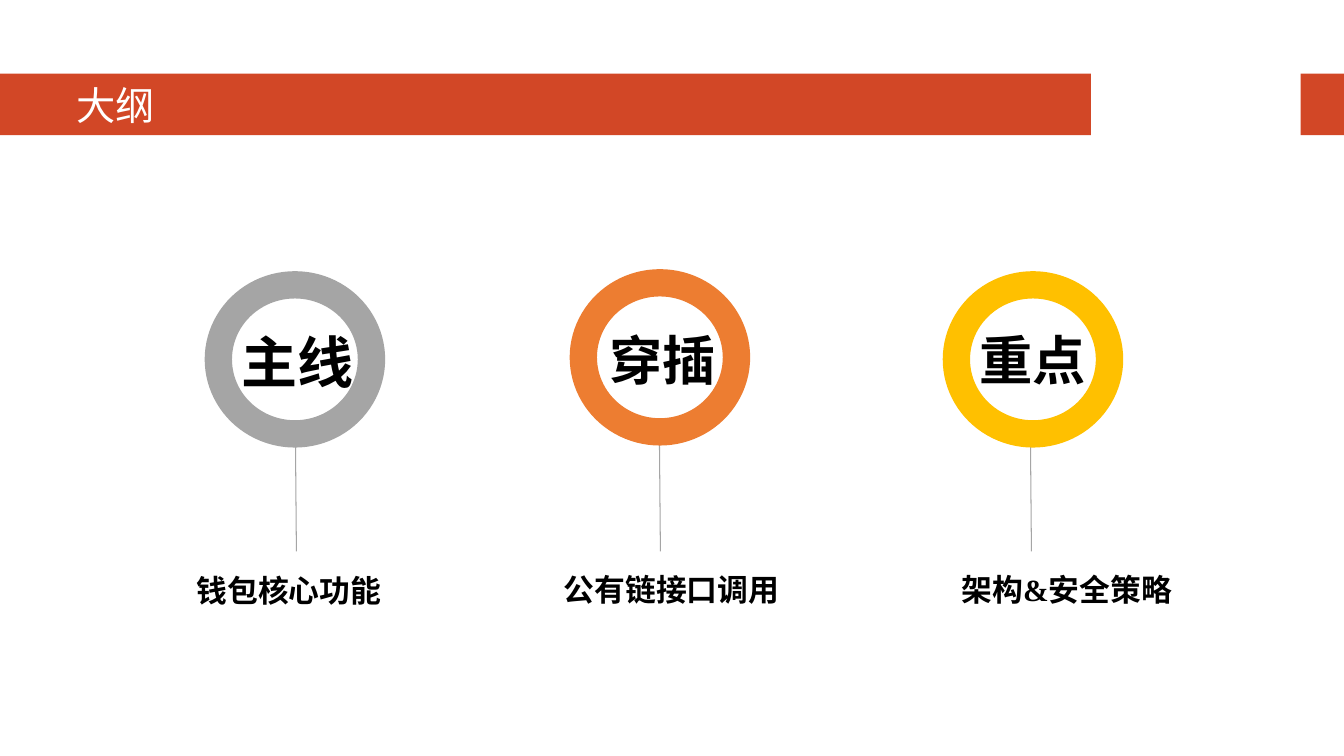
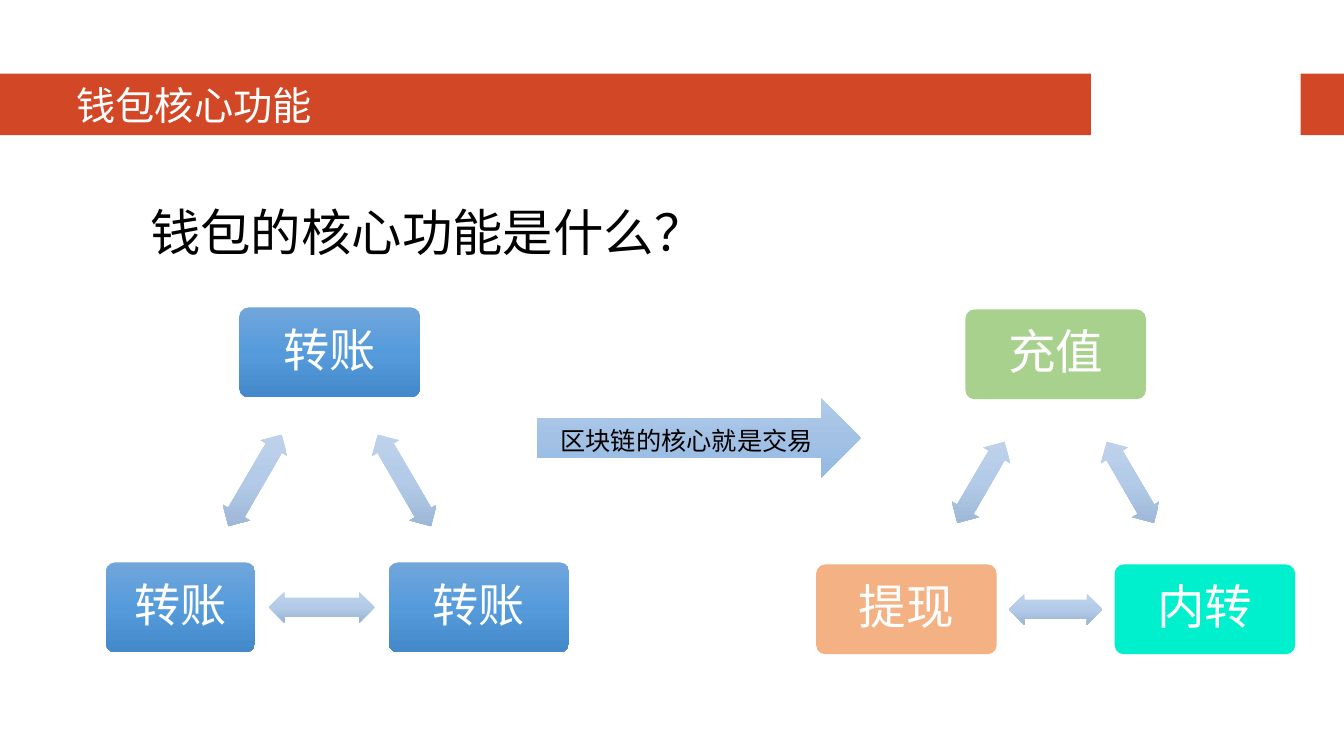
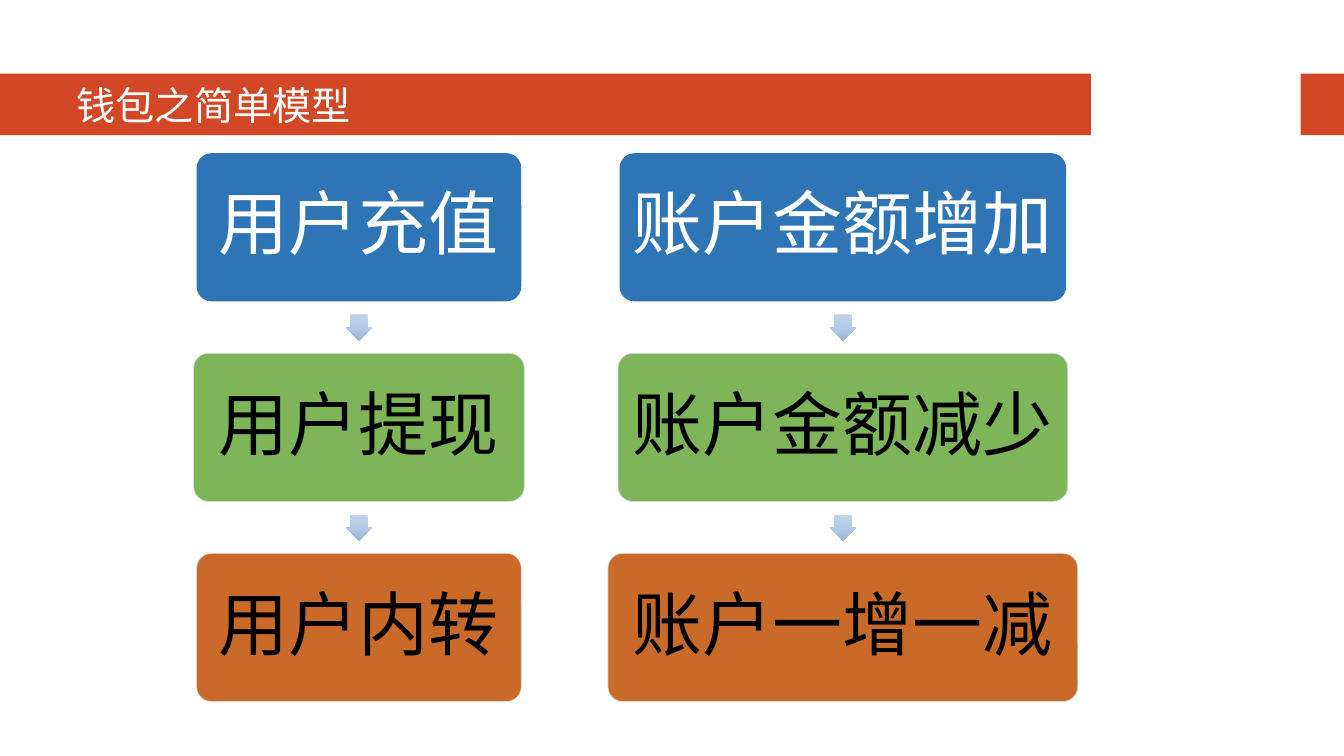
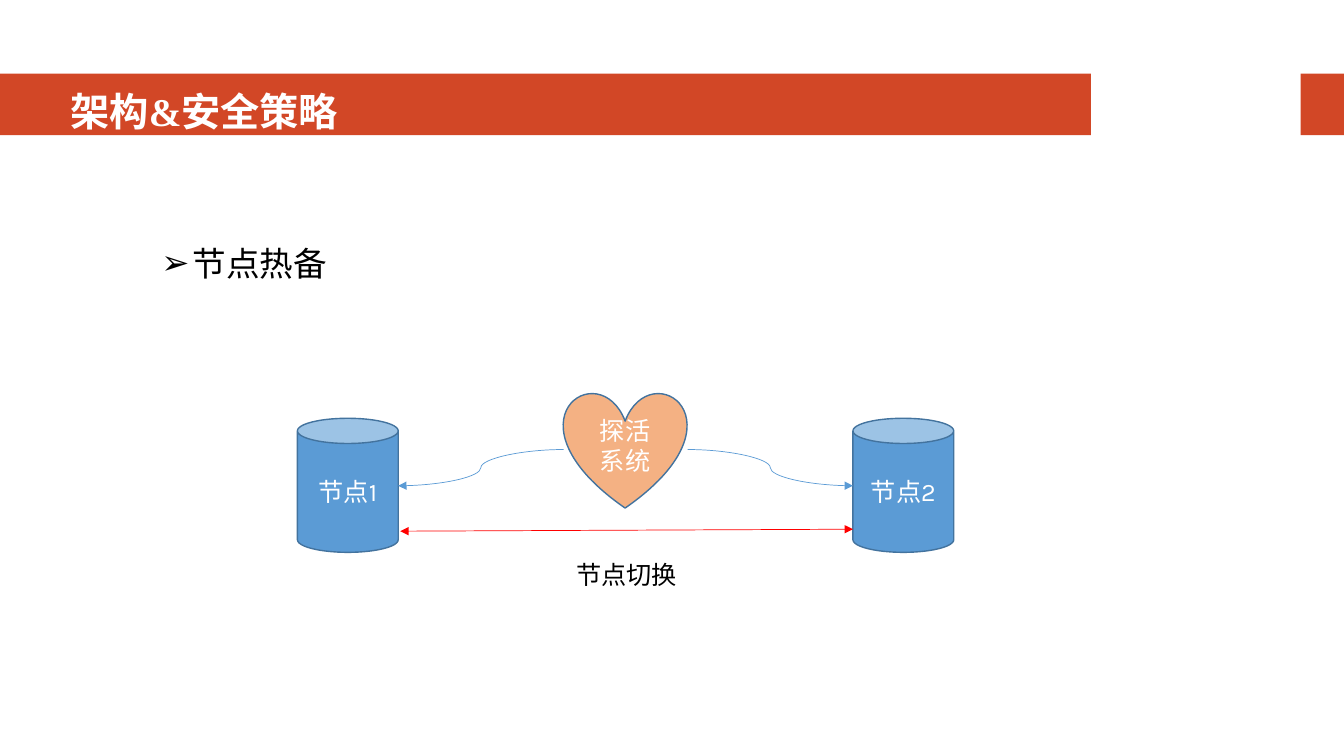
from copy import deepcopy

from lxml import etree
from pptx import Presentation
from pptx.dml.color import RGBColor
from pptx.enum.shapes import MSO_CONNECTOR, MSO_SHAPE
from pptx.enum.text import MSO_ANCHOR, MSO_AUTO_SIZE, PP_ALIGN
from pptx.oxml.ns import qn
from pptx.util import Emu, Pt

LEFT, CENTER = PP_ALIGN.LEFT, PP_ALIGN.CENTER
TOP, MIDDLE, BOTTOM = MSO_ANCHOR.TOP, MSO_ANCHOR.MIDDLE, MSO_ANCHOR.BOTTOM
RECT, ROUNDED, DONUT = MSO_SHAPE.RECTANGLE, MSO_SHAPE.ROUNDED_RECTANGLE, MSO_SHAPE.DONUT
CAN, HEART = MSO_SHAPE.CAN, MSO_SHAPE.HEART
RIGHT_ARROW, DOWN_ARROW = MSO_SHAPE.RIGHT_ARROW, MSO_SHAPE.DOWN_ARROW
BOTH_ARROW = MSO_SHAPE.LEFT_RIGHT_ARROW
STRAIGHT, CURVE = MSO_CONNECTOR.STRAIGHT, MSO_CONNECTOR.CURVE

EMU_PER_PX = 9144  # 100 px to the inch
TITLE_ONLY, TITLE_AND_BODY = 5, 1
SANS, SERIF, CJK = "Karla", "Times New Roman", "Noto Sans CJK SC"
COLORS = {
    "band": "D24726", "white": "FFFFFF", "black": "000000",
    "gray": "A5A5A5", "orange": "ED7D31", "gold": "FFC000",
    "mint": "A9D18E", "peach": "F4B183", "aqua": "00EFCD",
    "deep_blue": "2E75B6", "green": "70AD47", "rust": "C55A11",
    "pale_edge": "D2DEEF", "blue": "5B9BD5", "blue_edge": "43739E",
    "red": "FF0000",
}
GRADIENTS = {
    "box": ("71A6DB", "559BDB", "448ACA"),
    "link": ("C0D2EB", "B3CBE9", "9BB4D3"),
    "arrow": ("B1CBE9", "A3C1E5", "93B9E4"),
}


def px(length):
    return Emu(round(length * EMU_PER_PX))


def rgb(name):
    return RGBColor.from_string(COLORS[name])


# Text
def write(shape, text, size, color="black", font=SANS, bold=False, align=CENTER,
          anchor=MIDDLE, spacing=None, insets=(10, 5, 10, 5), wrap=True, bullet=None):
    frame = shape.text_frame
    frame.auto_size = MSO_AUTO_SIZE.NONE
    frame.word_wrap = wrap
    frame.vertical_anchor = anchor
    (frame.margin_left, frame.margin_top,
     frame.margin_right, frame.margin_bottom) = map(px, insets)
    frame.text = text
    paragraph = frame.paragraphs[0]
    paragraph.alignment = align
    paragraph.space_before = Pt(0)
    if spacing:
        paragraph.line_spacing = spacing
    if bullet:
        properties = paragraph._p.get_or_add_pPr()
        properties.set("marL", str(px(31)))
        properties.set("indent", str(px(-31)))
        etree.SubElement(properties, qn("a:buChar")).set("char", bullet)
    paragraph.font.size = Pt(size)
    paragraph.font.bold = bold
    paragraph.font.color.rgb = rgb(color)
    paragraph.font.name = font
    latin = paragraph._p.pPr.find(qn("a:defRPr")).find(qn("a:latin"))
    east_asian = etree.Element(qn("a:ea"))
    east_asian.set("typeface", CJK)
    latin.addnext(east_asian)


def place(shape, left, top, width, height):
    shape.left, shape.top, shape.width, shape.height = map(px, (left, top, width, height))


def add_label(slide, box, text, size, **style):
    label = slide.shapes.add_textbox(*map(px, box))
    write(label, text, size, **{"anchor": TOP, **style})


# Shapes and lines
def paint_gradient(shape, colors):
    shape.fill.gradient()
    shape.fill.gradient_angle = 270
    gradient = shape.element.spPr.find(qn("a:gradFill"))
    gradient.set("rotWithShape", "0")
    stops = gradient.find(qn("a:gsLst"))
    stops.insert(1, deepcopy(stops[0]))
    for index, (stop, color) in enumerate(zip(shape.fill.gradient_stops, colors)):
        stop.color.rgb = RGBColor.from_string(color)
        stop.position = index / 2


def add_figure(slide, kind, box, fill, adjustments=(), edge=None, edge_width=1,
               opacity=None, rotation=0):
    figure = slide.shapes.add_shape(kind, *map(px, box))
    figure.shadow.inherit = False
    figure.rotation = rotation
    for index, value in enumerate(adjustments):
        figure.adjustments[index] = value
    if fill in GRADIENTS:
        paint_gradient(figure, GRADIENTS[fill])
    else:
        figure.fill.solid()
        figure.fill.fore_color.rgb = rgb(fill)
    if edge:
        figure.line.color.rgb = rgb(edge)
        figure.line.width = Pt(edge_width)
    else:
        figure.line.fill.background()
    if opacity:
        for color in figure.element.spPr.iter(qn("a:srgbClr")):
            etree.SubElement(color, qn("a:alpha")).set("val", str(opacity * 1000))
    return figure


def add_box(slide, box, fill, text, size, color="white", **look):
    figure = add_figure(slide, ROUNDED, box, fill, (0.1,), **look)
    write(figure, text, size, color, spacing=0.9, insets=(0, 0, 0, 0))


def add_line(slide, start, end, color, width, kind=STRAIGHT, arrows=()):
    line = slide.shapes.add_connector(kind, *map(px, start + end))
    line.line.color.rgb = rgb(color)
    line.line.width = Pt(width)
    outline = line.line._get_or_add_ln()
    for arrow in arrows:
        etree.SubElement(outline, qn(f"a:{arrow}")).set("type", "triangle")
    etree.SubElement(line.element.spPr, qn("a:effectLst"))


# Shared parts
def add_slide(prs, title, layout=TITLE_ONLY, box=(66, 71, 1176, 61), **style):
    slide = prs.slides.add_slide(prs.slide_layouts[layout])
    place(slide.shapes.title, *box)
    write(slide.shapes.title, title, 28, "white",
          **{"font": CJK, "align": LEFT, "anchor": BOTTOM, **style})
    return slide


def move_bands_to_master(prs, slide):
    for left, width in ((0, 1082), (1290, 44)):
        band = add_figure(slide, RECT, (left, 73, width, 61), "band")
        prs.slide_master.shapes.element.insert(2, band.element)


# Slides
def build_outline(prs):
    slide = add_slide(prs, "大纲")
    move_bands_to_master(prs, slide)
    topics = (
        ("主线", 40, (216, 319, 158, 78), (203, 269), "gray",
         "钱包核心功能", (172, 549, 229, 49)),
        ("穿插", 38, (573, 319, 168, 109), (565, 267), "orange",
         "公有链接口调用", (533, 548, 266, 49)),
        ("重点", 38, (955, 319, 138, 76), (935, 269), "gold",
         "架构&安全策略", (913, 548, 290, 49)),
    )
    for stem_x in (293, 654, 1022):
        add_line(slide, (stem_x, 431), (stem_x + 1, 547), "gray", 0.75)
    for word, size, word_box, corner, color, caption, caption_box in topics:
        add_figure(slide, DONUT, corner + (179, 175), color, (0.155,))
        add_label(slide, word_box, word, size, font=SERIF, bold=True,
                  insets=(12, 6, 12, 6))
        add_label(slide, caption_box, caption, 22, font=SERIF, bold=True,
                  spacing=1.5, insets=(12, 0, 12, 0))


def add_cycle(slide, center, top, link_length, size, boxes):
    """Three boxes in a triangle, joined by double arrows."""
    offsets = ((0, 0), (148, 253), (-148, 253))
    for (dx, dy), (text, fill, width) in zip(offsets, boxes):
        add_box(slide, (center + dx - width / 2, top + dy, width, 89), fill, text, size)
    gap_center = center + (boxes[2][2] - boxes[1][2]) / 4
    links = ((center + 74, 171, 59.8), (center - 74, 171, -59.8), (gap_center, 297, 0))
    for link_x, dy, rotation in links:
        add_figure(slide, BOTH_ARROW,
                   (link_x - link_length / 2, top + dy - 15, link_length, 31),
                   "link", (0.6, 0.5), rotation=rotation)


def build_core_features(prs):
    slide = add_slide(prs, "钱包核心功能")
    add_label(slide, (139, 195, 615, 71), "钱包的核心功能是什么？", 36, align=LEFT)
    add_cycle(slide, 327, 305, 105, 33,
              [("转账", "box", width) for width in (179, 179, 148)])
    add_cycle(slide, 1047, 307, 93, 34,
              [("充值", "mint", 179), ("内转", "aqua", 179), ("提现", "peach", 179)])
    insight = add_figure(slide, RIGHT_ARROW, (533, 395, 321, 79), "arrow")
    write(insight, "区块链的核心就是交易", 18, align=LEFT, insets=(23, 5, 0, 0))


def build_simple_model(prs):
    slide = add_slide(prs, "钱包之简单模型")
    soft = {"edge": "pale_edge", "edge_width": 0.5, "opacity": 90}
    looks = (("deep_blue", "white", {}), ("green", "black", soft), ("rust", "black", soft))
    columns = (
        (356, (("用户充值", 322), ("用户提现", 328), ("用户内转", 322))),
        (836, (("账户金额增加", 443), ("账户金额减少", 446), ("账户一增一减", 466))),
    )
    for center, steps in columns:
        for row, ((text, width), (fill, color, look)) in enumerate(zip(steps, looks)):
            top = 152 + 198.5 * row
            add_box(slide, (center - width / 2, top, width, 147), fill, text, 50,
                    color, **look)
            if row < len(steps) - 1:
                add_figure(slide, DOWN_ARROW, (center - 13, top + 160, 26, 26),
                           "link", (0.667, 0.5))


def build_architecture(prs):
    slide = add_slide(prs, "架构&安全策略", TITLE_AND_BODY, (60, 77, 1176, 61),
                      font=SERIF, bold=True, spacing=1.5)
    strategy = slide.placeholders[1]
    place(strategy, 150, 236, 734, 50)
    write(strategy, "节点热备", 24, align=LEFT, anchor=TOP, bullet="➢")
    figures = (
        (CAN, (295, 415, 100, 133), "blue", "节点1"),
        (CAN, (846, 415, 100, 133), "blue", "节点2"),
        (HEART, (559, 389, 122, 115), "peach", "探活系统"),
    )
    for kind, box, fill, text in figures:
        write(add_figure(slide, kind, box, fill, edge="blue_edge"), text, 18, "white")
    for start, end in (((682, 446), (846, 482)), ((559, 446), (395, 482))):
        add_line(slide, start, end, "blue", 0.5, CURVE, ("tailEnd",))
    add_line(slide, (397, 527), (846, 525), "red", 0.5, arrows=("headEnd", "tailEnd"))
    add_label(slide, (561, 550, 121, 40), "节点切换", 18, wrap=False)


def main():
    prs = Presentation()
    prs.slide_width, prs.slide_height = px(1333), px(750)
    build_outline(prs)
    build_core_features(prs)
    build_simple_model(prs)
    build_architecture(prs)
    prs.save("out.pptx")


if __name__ == "__main__":
    main()
